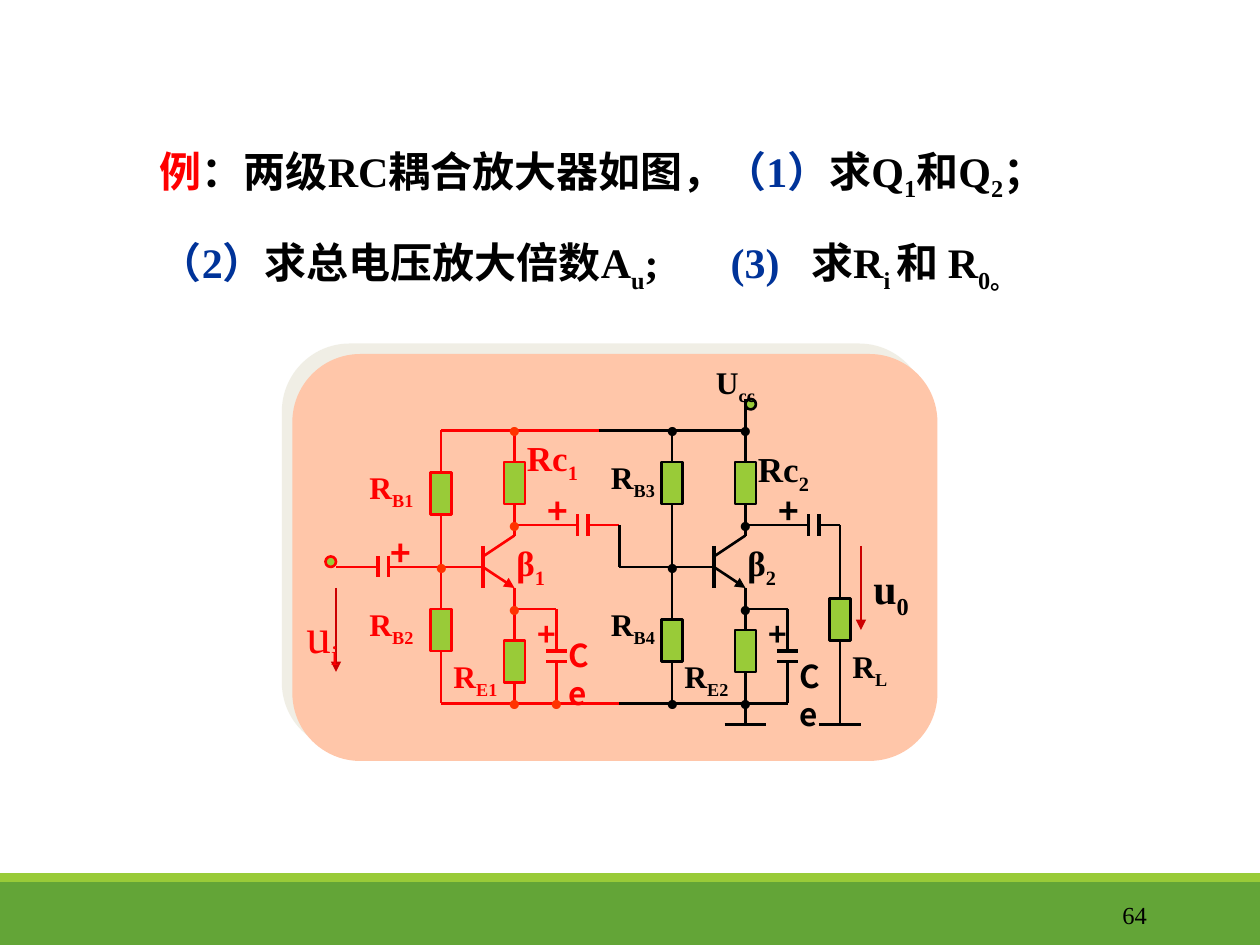
from dataclasses import dataclass

from lxml import etree
from pptx import Presentation
from pptx import util as u
from pptx.dml.color import RGBColor
from pptx.enum import shapes as kinds, text as layout
from pptx.oxml import ns


@dataclass(frozen=True)
class Theme:
    """Colours, fonts, type sizes and line widths of the slide."""
    red: str = "FF0000"
    red_dot: str = "FF3300"
    arrow: str = "CC0000"
    black: str = "000000"
    blue: str = "003399"
    green: str = "99CB38"
    dark_green: str = "63A537"
    card: str = "FFC6A9"
    shadow: str = "E2DFCC"
    serif: str = "Times New Roman"
    sans: str = "Noto Sans CJK SC"
    page: int = 14
    small: int = 18
    label: int = 20
    body: int = 24
    input: int = 28
    dot: int = 32
    thin: float = 0.75
    wire: float = 1.5
    plate: float = 2.25


@dataclass(frozen=True)
class Stage:
    """What differs between the two amplifier stages, in grid units."""
    x: int
    color: str
    dot_color: str
    number: str
    top: int
    bottom: int
    output: int
    upper_rail: tuple
    lower_rail: tuple
    resistors: tuple
    labels: tuple
    dots: tuple


THEME = Theme()
GRID = 1 / 12


def grid(*units):
    """Turn grid units into inches."""
    return [unit * GRID for unit in units]


def add_child(parent, tag, **attributes):
    """Append a drawing element with attributes."""
    return etree.SubElement(parent, ns.qn(tag), attributes)


def add_block(shapes, kind, box, fill, line=None):
    """Add a filled preset shape."""
    shape = shapes.add_shape(kind, *map(u.Inches, box))
    shape.shadow.inherit = False
    shape.fill.solid()
    shape.fill.fore_color.rgb = RGBColor.from_string(fill)
    if line:
        shape.line.color.rgb = RGBColor.from_string(line)
        shape.line.width = u.Pt(THEME.wire)
    else:
        shape.line.fill.background()
    return shape


def add_resistor(shapes, x, y, color):
    """Add a resistor centred on column x with its top at y."""
    add_block(shapes, kinds.MSO_SHAPE.RECTANGLE, grid(x - 1, y, 2, 4), THEME.green, color)


def add_terminal(shapes, x, y, color):
    """Add a round terminal."""
    add_block(shapes, kinds.MSO_SHAPE.OVAL, grid(x, y, 1, 1), THEME.green, color)


def add_wire(shapes, points, color, width=THEME.wire, arrow=False):
    """Join successive grid points with straight lines."""
    for start, end in zip(points, points[1:]):
        line = shapes.add_connector(kinds.MSO_CONNECTOR.STRAIGHT, *map(u.Inches, grid(*start, *end)))
        line.line.color.rgb = RGBColor.from_string(color)
        line.line.width = u.Pt(width)
        if arrow:
            add_child(line.line._get_or_add_ln(), "a:tailEnd", type="triangle")
        add_child(line._element.spPr, "a:effectLst")


def add_plates(shapes, x, y, color, upright=True):
    """Add the two plates of a capacitor, the first centred at x, y."""
    for step in (0, 1):
        ends = [(x + step, y - 1), (x + step, y + 1)] if upright else [(x - 1, y + step), (x + 1, y + step)]
        add_wire(shapes, ends, color, THEME.plate)


def add_text(shapes, box, runs, size, font=THEME.serif, bold=True, align=layout.PP_ALIGN.LEFT):
    """Add a wrapped text box from runs of text, colour and subscript flag."""
    shape = shapes.add_textbox(*map(u.Inches, box))
    frame = shape.text_frame
    frame.word_wrap = True
    paragraph = frame.paragraphs[0]
    paragraph.alignment = align
    for words, color, subscript in runs:
        run = paragraph.add_run()
        run.text = words
        run.font.size = u.Pt(size)
        run.font.bold = bold
        run.font.name = font
        run.font.color.rgb = RGBColor.from_string(color)
        properties = run._r.get_or_add_rPr()
        add_child(properties, "a:ea", typeface=THEME.sans)
        if subscript:
            properties.set("baseline", "-25000")
    return shape


def add_label(shapes, x, y, width, words, color, size=THEME.small, font=THEME.serif, bold=True):
    """Add a symbol whose part after an underscore is a subscript."""
    name, _, index = words.partition("_")
    runs = [(name, color, False)] + ([(index, color, True)] if index else [])
    add_text(shapes, [*grid(x, y, width), size / 45], runs, size, font, bold)


def add_dot(shapes, x, y, color):
    """Add a junction dot."""
    add_text(shapes, [*grid(x - 2, y - 4, 4), 0.63], [("·", color, False)], THEME.dot,
             align=layout.PP_ALIGN.CENTER)


def add_stage(shapes, stage):
    """Draw one common-emitter stage around its collector column."""
    x, color = stage.x, stage.color
    base, bias, bypass = x - 3, x - 7, x + 4
    wires = [
        [(x - 12, 54), (base, 54)], [(base, 53), (x, 51), (x, stage.top)],
        [(x, 56), (x, stage.bottom)], [(bias, 41), (bias, 67)],
        [(x, 50), (x + 6, 50)], [(x + 7, 50), (stage.output, 50)],
        [(x, 58), (bypass, 58), (bypass, 62)], [(bypass, 63), (bypass, 67)],
        [(end, 41) for end in stage.upper_rail], [(end, 67) for end in stage.lower_rail],
    ]
    for points in wires:
        add_wire(shapes, points, color)
    add_wire(shapes, [(base, 54), (x, 56)], color, arrow=True)
    add_wire(shapes, [(base, 52), (base, 56)], color, THEME.plate)
    add_plates(shapes, x + 6, 50, color)
    add_plates(shapes, bypass, 62, color, upright=False)
    for column, y in zip((x, x, bias, bias), stage.resistors):
        add_resistor(shapes, column, y, color)
    for left, y, width, words in stage.labels:
        add_label(shapes, left, y, width, words, color)
    add_label(shapes, x - 7, 62, 7, f"R_E{stage.number}", color)
    add_label(shapes, x, 40 + int(stage.number), 9, f"Rc_{stage.number}", color, THEME.label)
    add_label(shapes, x - 1, 51, 7, f"β_{stage.number}", color, THEME.label)
    add_label(shapes, x + 2, 46, 4, "+", color, THEME.label, THEME.sans)
    add_label(shapes, x + 1, 58, 4, "+", color, THEME.small, THEME.sans)
    add_label(shapes, bypass, 58 + 2 * int(stage.number), 5.5, "Ce", color, THEME.small, THEME.sans)
    for column, y in [(bias, 54), (x, 41), (x, 50), (x, 58), (x, 67), *stage.dots]:
        add_dot(shapes, column, y, stage.dot_color)


def add_input(shapes):
    """Draw the signal source side."""
    color = THEME.red
    add_terminal(shapes, 31, 53, color)
    add_wire(shapes, [(32, 54), (36, 54)], color)
    add_plates(shapes, 36, 54, color)
    add_wire(shapes, [(32, 56), (32, 64)], THEME.arrow, THEME.thin, arrow=True)
    add_label(shapes, 28, 57, 7, "u_i", color, THEME.input, bold=False)
    add_label(shapes, 36, 50, 5, "+", color, THEME.label, THEME.sans)


def add_output(shapes):
    """Draw the coupling link, supply, load and grounds."""
    color = THEME.black
    add_wire(shapes, [(59, 50), (59, 54)], color)
    add_wire(shapes, [(80, 50), (80, 69)], color)
    add_resistor(shapes, 80, 57, color)
    for x in (71, 80):
        add_wire(shapes, [(x - 2, 69), (x + 2, 69)], color, THEME.plate)
    add_wire(shapes, [(82, 52), (82, 60)], THEME.arrow, THEME.thin, arrow=True)
    add_terminal(shapes, 71, 38, color)
    add_label(shapes, 67, 34, 9, "U_cc", color)
    add_label(shapes, 82, 53, 7, "u_0", color, THEME.body)
    add_label(shapes, 80, 61, 7, "R_L", color)


def add_card(shapes):
    """Add the rounded panel with its offset shadow."""
    card = add_block(shapes, kinds.MSO_SHAPE.ROUNDED_RECTANGLE, (2.32, 2.81, 5.12, 3.23), THEME.card)
    card.adjustments[0] = 0.167
    effects = card._element.spPr.find(ns.qn("a:effectLst"))
    shadow = add_child(effects, "a:outerShdw", blurRad="0", dist=str(u.Pt(8.5)),
                       dir="13500000", algn="ctr", rotWithShape="0")
    add_child(add_child(shadow, "a:srgbClr", val=THEME.shadow), "a:alpha", val="50000")


def add_question(shapes):
    """Add the exercise wording."""
    black, blue = THEME.black, THEME.blue
    runs = [
        ("例", THEME.red, False), ("：两级RC耦合放大器如图，", black, False), ("（1）", blue, False),
        ("求Q", black, False), ("1", black, True), ("和Q", black, False), ("2", black, True),
        ("；", black, False), ("（2）", blue, False), ("求总电压放大倍数A", black, False),
        ("u", black, True), (";\t", black, False), ("(3)\t", blue, False), ("求R", black, False),
        ("i ", black, True), ("和 R", black, False), ("0。", black, True),
    ]
    paragraph = add_text(shapes, (1.17, 0.83, 8, 1.38), runs, THEME.body).text_frame.paragraphs[0]
    paragraph.line_spacing = 1.6
    tabs = add_child(paragraph._p.get_or_add_pPr(), "a:tabLst")
    for position in (4.53, 5.17):
        add_child(tabs, "a:tab", pos=str(u.Inches(position)), algn="l")


def main():
    """Build and save the slide."""
    presentation = Presentation()
    presentation.slide_width, presentation.slide_height = u.Inches(10), u.Inches(7.5)
    slide = presentation.slides.add_slide(presentation.slide_layouts[6])
    for top, height, color in ((7, 0.5, THEME.dark_green), (6.93, 0.07, THEME.green)):
        add_block(slide.shapes, kinds.MSO_SHAPE.RECTANGLE, (0, top, 10, height), color)
    number = add_text(slide.shapes, (8.12, 7.06, 1.08, 0.4), [("64", THEME.black, False)], THEME.page,
                      bold=False, align=layout.PP_ALIGN.RIGHT)
    number.text_frame.vertical_anchor = layout.MSO_ANCHOR.MIDDLE
    add_question(slide.shapes)
    first = Stage(49, THEME.red, THEME.red_dot, "1", 41, 67, 59, (42, 58), (42, 59), (44, 61, 45, 58),
                  ((34, 44, 8, "R_B1"), (34, 57, 7, "R_B2")), ((53, 67),))
    second = Stage(71, THEME.black, THEME.black, "2", 38, 69, 80, (57, 71), (59, 75), (44, 60, 44, 59),
                   ((57, 43, 8, "R_B3"), (57, 57, 7, "R_B4")), ((64, 41), (64, 67)))
    first_group = slide.shapes.add_group_shape().shapes
    add_card(first_group)
    add_input(first_group)
    add_stage(first_group, first)
    second_group = slide.shapes.add_group_shape().shapes
    add_output(second_group)
    add_stage(second_group, second)
    presentation.save("out.pptx")


if __name__ == "__main__":
    main()
